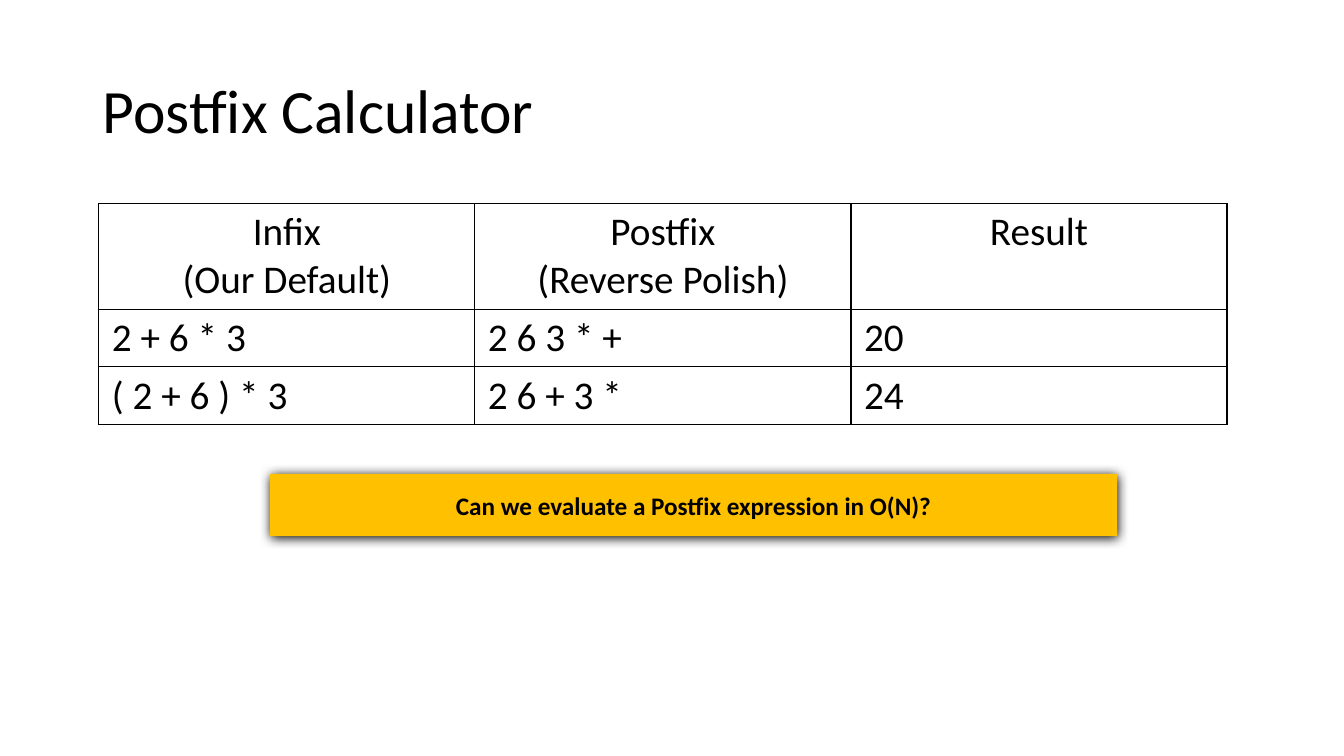
from lxml import etree
from pptx import Presentation
from pptx.dml.color import RGBColor
from pptx.enum.shapes import MSO_SHAPE
from pptx.enum.text import MSO_ANCHOR, PP_ALIGN
from pptx.oxml import parse_xml
from pptx.oxml.ns import nsdecls, qn
from pptx.util import Inches, Pt

BLACK = "000000"
AMBER = "FFC000"


def color(value):
    return RGBColor.from_string(value)


def write(frame, text, size, align=PP_ALIGN.LEFT, bold=False):
    paragraph = frame.paragraphs[0]
    paragraph.text = text
    paragraph.alignment = align
    for run in paragraph.runs:
        run.font.name = "Calibri"
        run.font.size = Pt(size)
        run.font.bold = bold
        run.font.color.rgb = color(BLACK)


prs = Presentation()
prs.slide_width = Inches(13.33)
prs.slide_height = Inches(7.5)
slide = prs.slides.add_slide(prs.slide_layouts[6])

title = slide.shapes.add_textbox(Inches(0.92), Inches(0.4), Inches(11.5), Inches(1.45))
title.text_frame.word_wrap = True
title.text_frame.vertical_anchor = MSO_ANCHOR.MIDDLE
write(title.text_frame, "Postfix Calculator", 44)
title.text_frame.paragraphs[0].line_spacing = 0.9

expressions = [
    ["Infix\v(Our Default)", "Postfix\v(Reverse Polish)", "Result"],
    ["2 + 6 * 3", "2 6 3 * +", "20"],
    ["( 2 + 6 ) * 3", "2 6 + 3 *", "24"],
]
row_heights = [1.05, 0.57, 0.57]
table = slide.shapes.add_table(
    3, 3, Inches(0.98), Inches(2.02), Inches(11.19), Inches(sum(row_heights))
).table
table.first_row = False
table.horz_banding = False
for column in table.columns:
    column.width = Inches(3.73)
for r, (height, texts) in enumerate(zip(row_heights, expressions)):
    table.rows[r].height = Inches(height)
    for c, text in enumerate(texts):
        cell = table.cell(r, c)
        cell.margin_left = cell.margin_right = Inches(0.13)
        cell.margin_top = cell.margin_bottom = Inches(0.05)
        cell.fill.background()
        write(cell.text_frame, text, 28, PP_ALIGN.CENTER if r == 0 else PP_ALIGN.LEFT)
        properties = cell._tc.get_or_add_tcPr()
        for i, side in enumerate(["lnL", "lnR", "lnT", "lnB"]):
            properties.insert(i, parse_xml(
                f'<a:{side} {nsdecls("a")} w="{Pt(1)}"><a:solidFill>'
                f'<a:srgbClr val="{BLACK}"/></a:solidFill></a:{side}>'
            ))

question = slide.shapes.add_shape(
    MSO_SHAPE.RECTANGLE, Inches(2.68), Inches(4.7), Inches(8.4), Inches(0.62)
)
question.fill.solid()
question.fill.fore_color.rgb = color(AMBER)
question.line.fill.background()
question.shadow.inherit = False
effects = question._element.spPr.find(qn("a:effectLst"))
shadow = etree.SubElement(
    effects, qn("a:outerShdw"), blurRad=str(Pt(8.5)), dist=str(Pt(1)), dir="5400000"
)
etree.SubElement(shadow, qn("a:srgbClr"), val=BLACK)
question.text_frame.word_wrap = True
question.text_frame.vertical_anchor = MSO_ANCHOR.MIDDLE
question.text_frame.margin_top = question.text_frame.margin_bottom = Inches(0.16)
write(question.text_frame, "Can we evaluate a Postfix expression in O(N)?", 18, PP_ALIGN.CENTER, True)

prs.save("out.pptx")
